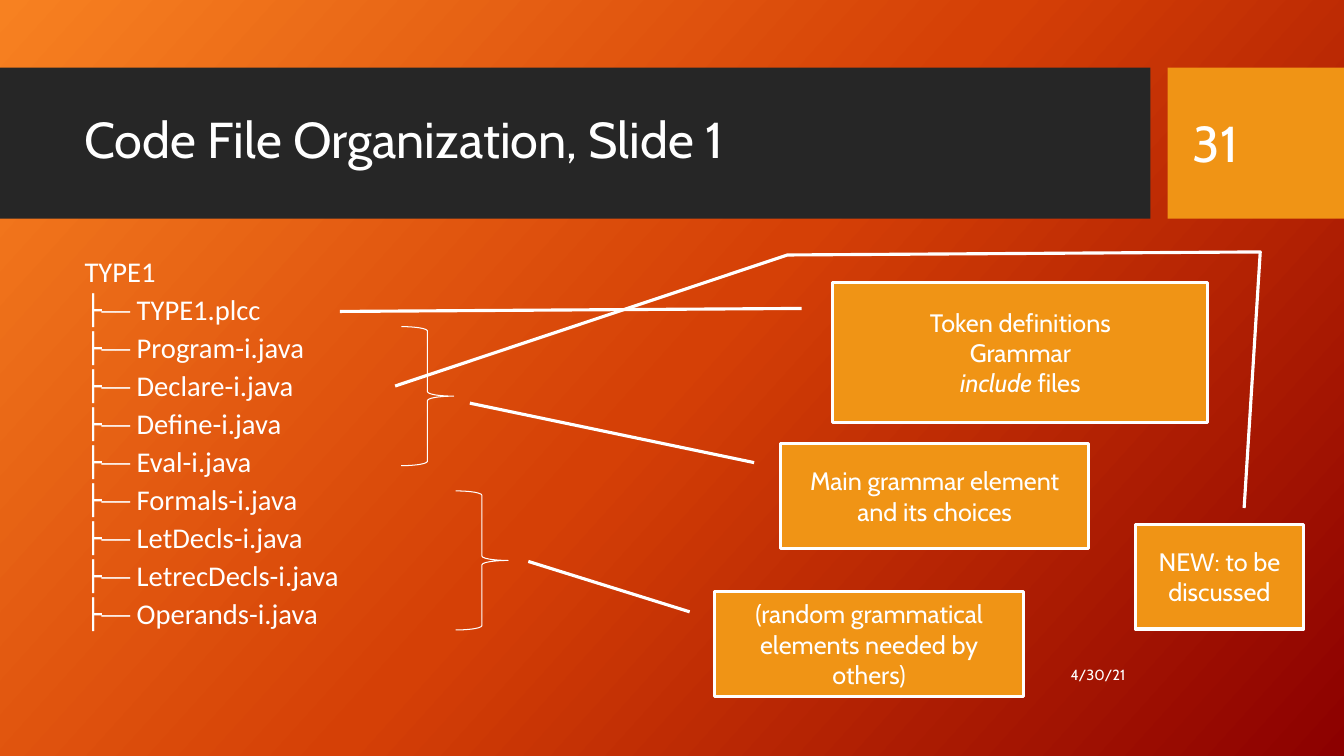
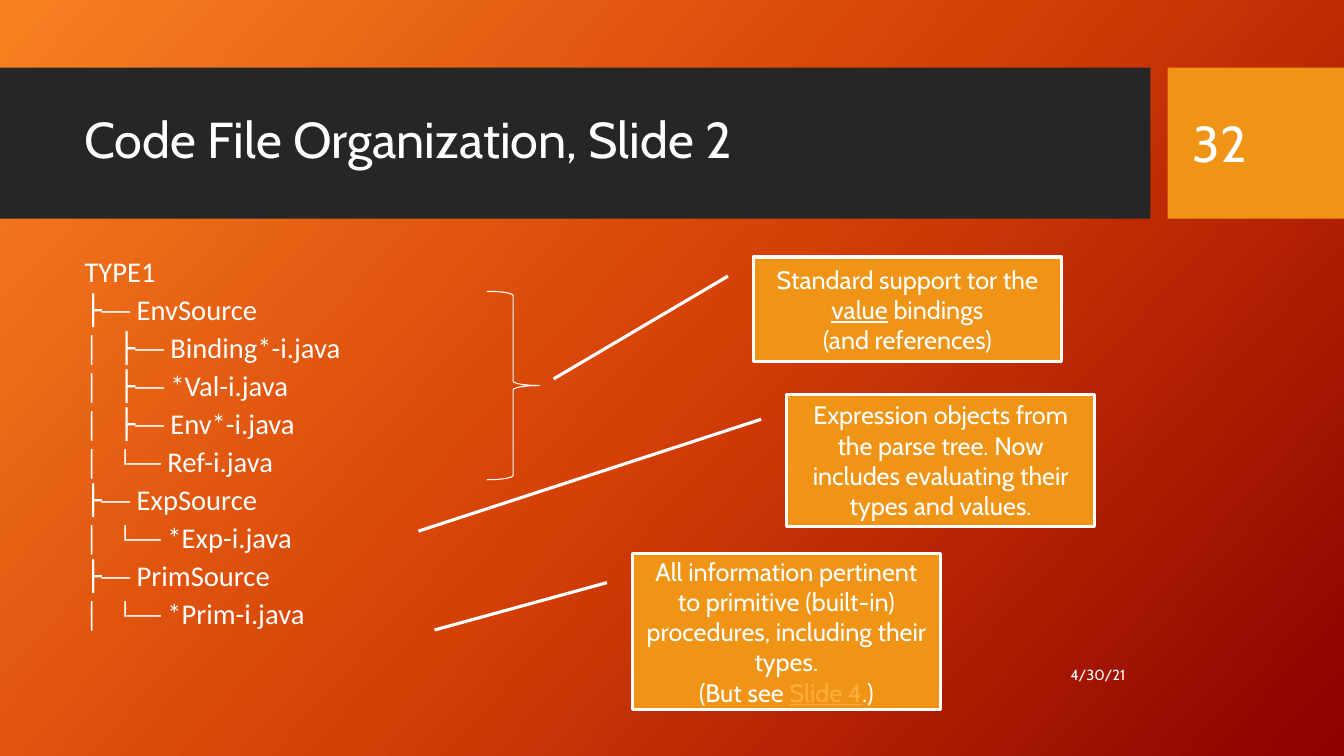
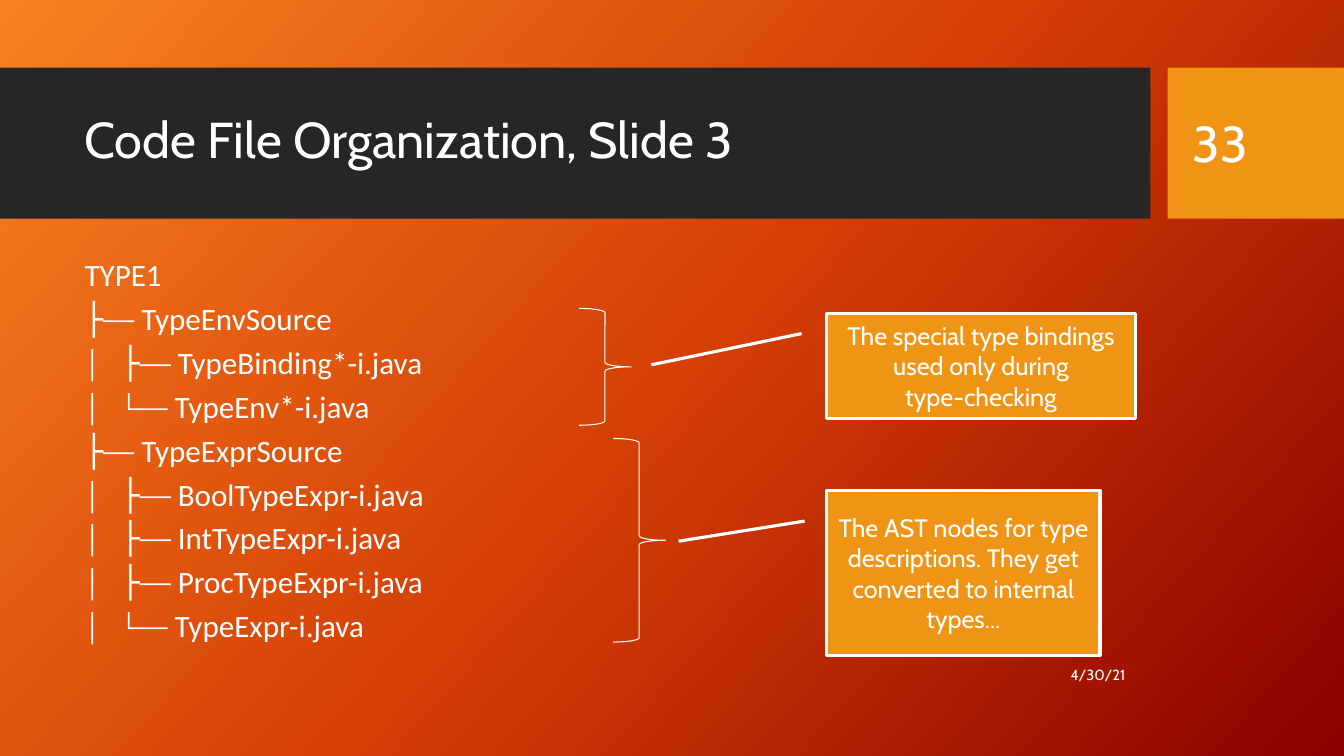
from collections import namedtuple
from copy import deepcopy
from dataclasses import dataclass

from pptx import Presentation
from pptx import util as u
from pptx.dml import color
from pptx.enum import shapes, text
from pptx.oxml import ns

Box = namedtuple("Box", "left top width height")
Callout = namedtuple("Callout", "box pointer paras")
Page = namedtuple("Page", "number tree tree_style braces callouts")


@dataclass(frozen=True)
class Theme:
    white: str = "FFFFFF"
    band: str = "262626"
    accent: str = "F09415"
    link: str = "FFAE3E"
    gradient: tuple = ((0, "F78121"), (0.5, "D54006"), (1, "8C0000"))
    angle: int = 42
    font: str = "Cabin"
    tree_font: str = "Calibri"
    title: float = 36
    note: float = 18
    date: float = 10.5
    callout_line: float = 2.25
    brace_line: float = 0.75


THEME = Theme()
HEADER = Box(0, 0.67, 13.33, 1.5)
TREE = Box(0.74, 2.56, 10.51, 3.94)
DATE = Box(8.26, 6.49, 3, 0.4)
BRACE_WIDTH = 0.52
DENSE = {"size": 20.4, "spacing": 0.7}
LOOSE = {"size": 22.2, "spacing": 0.8}
ITALIC = {"italic": True}
UNDERLINE = {"underline": True}
LINK = {"underline": True, "color": THEME.link}

PAGES = [
    Page(
        31,
        [(name, []) for name in (
            "TYPE1.plcc", "Program-i.java", "Declare-i.java", "Define-i.java",
            "Eval-i.java", "Formals-i.java", "LetDecls-i.java",
            "LetrecDecls-i.java", "Operands-i.java")],
        DENSE,
        [(3.98, 3.24, 1.38), (4.52, 4.87, 1.38)],
        [
            Callout(Box(8.26, 2.8, 3.72, 1.39), [(7.95, 3.06), (3.37, 3.09)],
                    [["Token definitions"], ["Grammar"],
                     [("include", ITALIC), " files"]]),
            Callout(Box(7.74, 4.4, 3.06, 1.04), [(7.48, 4.59), (4.66, 4)],
                    [["Main grammar element and its choices"]]),
            Callout(Box(7.09, 5.87, 3.06, 1.04), [(6.84, 6.07), (5.24, 5.57)],
                    [["(random grammatical elements needed by others)"]]),
            Callout(Box(11.26, 5.2, 1.67, 1.04),
                    [(12.34, 5.04), (12.5, 2.5), (7.81, 2.53), (3.92, 3.83)],
                    [["NEW: to be discussed"]]),
        ],
    ),
    Page(
        32,
        [
            ("EnvSource", ["Binding*-i.java", "*Val-i.java", "Env*-i.java",
                           "Ref-i.java"]),
            ("ExpSource", ["*Exp-i.java"]),
            ("PrimSource", ["*Prim-i.java"]),
        ],
        DENSE,
        [(4.83, 2.89, 1.87)],
        [
            Callout(Box(6.27, 5.49, 3.06, 1.55), [(6.02, 5.78), (4.31, 6.25)],
                    [["All information pertinent to primitive (built-in) "
                      "procedures, including their types."],
                     ["(But see ", ("Slide 4", LINK), ".)"]]),
            Callout(Box(7.47, 2.55, 3.06, 1.04), [(7.22, 2.74), (5.49, 3.76)],
                    [["Standard support tor the ", ("value", UNDERLINE),
                      " bindings", "\n", "(and references)"]]),
            Callout(Box(7.8, 3.91, 3.06, 1.31), [(7.55, 4.16), (4.15, 5.27)],
                    [["Expression objects from the parse tree. Now includes "
                      "evaluating their types and values."]]),
        ],
    ),
    Page(
        33,
        [
            ("TypeEnvSource", ["TypeBinding*-i.java", "TypeEnv*-i.java"]),
            ("TypeExprSource", ["BoolTypeExpr-i.java", "IntTypeExpr-i.java",
                                "ProcTypeExpr-i.java", "TypeExpr-i.java"]),
        ],
        LOOSE,
        [(5.74, 3.06, 1.16), (6.08, 4.35, 2.02)],
        [
            Callout(Box(8.2, 3.11, 3.06, 1.04), [(7.95, 3.31), (6.46, 3.62)],
                    [["The special type bindings used only during"],
                     ["type-checking"]]),
            Callout(Box(8.2, 4.87, 2.71, 1.63), [(7.98, 5.17), (6.73, 5.37)],
                    [["The AST nodes for type descriptions. They get "
                      "converted to internal types..."]]),
        ],
    ),
]


def rgb(value):
    return color.RGBColor.from_string(value)


def inches(box):
    return [u.Inches(value) for value in box]


def apply(target, values):
    for name, value in values.items():
        setattr(target, name, value)


def write(shape, paras, size, font=THEME.font, anchor=text.MSO_ANCHOR.MIDDLE,
          **layout):
    frame = shape.text_frame
    apply(frame, {"word_wrap": True, "vertical_anchor": anchor})
    for index, spans in enumerate(paras):
        para = frame.add_paragraph() if index else frame.paragraphs[0]
        apply(para, layout)
        for span in spans:
            if span == "\n":
                para.add_line_break()
                continue
            words, changes = (span, {}) if isinstance(span, str) else span
            values = {"name": font, "size": u.Pt(size), **changes}
            shade = values.pop("color", THEME.white)
            run = para.add_run()
            run.text = words
            apply(run.font, values)
            run.font.color.rgb = rgb(shade)
    return frame


def add_text(slide, box, paras, size, **options):
    return write(slide.shapes.add_textbox(*inches(box)), paras, size, **options)


def add_preset(slide, kind, box, fill=None, line=None):
    shape = slide.shapes.add_shape(kind, *inches(box))
    shape.shadow.inherit = False
    if fill:
        shape.fill.solid()
        shape.fill.fore_color.rgb = rgb(fill)
    else:
        shape.fill.background()
    if line:
        shape.line.color.rgb = rgb(THEME.white)
        shape.line.width = u.Pt(line)
    else:
        shape.line.fill.background()
    return shape


def paint_background(master):
    fill = master.background.fill
    fill.gradient()
    fill.gradient_angle = 360 - THEME.angle
    stops = master.element.find(".//" + ns.qn("a:gsLst"))
    stops.append(deepcopy(stops[0]))
    for stop, (position, shade) in zip(fill.gradient_stops, THEME.gradient):
        stop.position = position
        stop.color.rgb = rgb(shade)


def add_header(slide, box, title, number):
    number_width, gap = 1.75, 0.17
    number_left = box.left + box.width - number_width
    title_band = box._replace(width=box.width - number_width - gap)
    number_band = box._replace(left=number_left, width=number_width)
    for band, fill in ((title_band, THEME.band), (number_band, THEME.accent)):
        add_preset(slide, shapes.MSO_SHAPE.RECTANGLE, band, fill)
    top = box.top + 0.15
    add_text(slide, Box(box.left + 0.74, top, 10.51, 1.18), [[title]],
             THEME.title, line_spacing=0.9)
    add_text(slide, Box(number_left + 0.15, top, 1.26, 1.19), [[str(number)]],
             THEME.title)


def tree_lines(tree):
    yield "TYPE1"
    for name, children in tree:
        yield "├── " + name
        for child in children:
            yield "│   " + ("└── " if child == children[-1] else "├── ") + child


def add_tree(slide, box, tree, size, spacing):
    frame = add_text(slide, box, [[line] for line in tree_lines(tree)], size,
                     font=THEME.tree_font, anchor=text.MSO_ANCHOR.TOP,
                     line_spacing=spacing, space_before=u.Pt(10))
    frame.paragraphs[0].space_before = u.Pt(0)


def add_callout(slide, box, pointer, paras):
    kind = (shapes.MSO_SHAPE.LINE_CALLOUT_1 if len(pointer) == 2
            else shapes.MSO_SHAPE.LINE_CALLOUT_3)
    shape = add_preset(slide, kind, box, THEME.accent, THEME.callout_line)
    for index, (x, y) in enumerate(pointer):
        shape.adjustments[2 * index] = (y - box.top) / box.height
        shape.adjustments[2 * index + 1] = (x - box.left) / box.width
    write(shape, paras, THEME.note, alignment=text.PP_ALIGN.CENTER)


def add_page(deck, order, page):
    slide = deck.slides.add_slide(deck.slide_layouts[6])
    add_header(slide, HEADER, f"Code File Organization, Slide {order}",
               page.number)
    add_tree(slide, TREE, page.tree, **page.tree_style)
    add_text(slide, DATE, [["4/30/21"]], THEME.date,
             alignment=text.PP_ALIGN.RIGHT)
    for callout in page.callouts:
        add_callout(slide, *callout)
    for left, top, height in page.braces:
        add_preset(slide, shapes.MSO_SHAPE.RIGHT_BRACE,
                   Box(left, top, BRACE_WIDTH, height), line=THEME.brace_line)


def main():
    deck = Presentation()
    apply(deck, {"slide_width": u.Inches(13.33), "slide_height": u.Inches(7.5)})
    paint_background(deck.slide_master)
    for order, page in enumerate(PAGES, 1):
        add_page(deck, order, page)
    deck.save("out.pptx")


if __name__ == "__main__":
    main()
